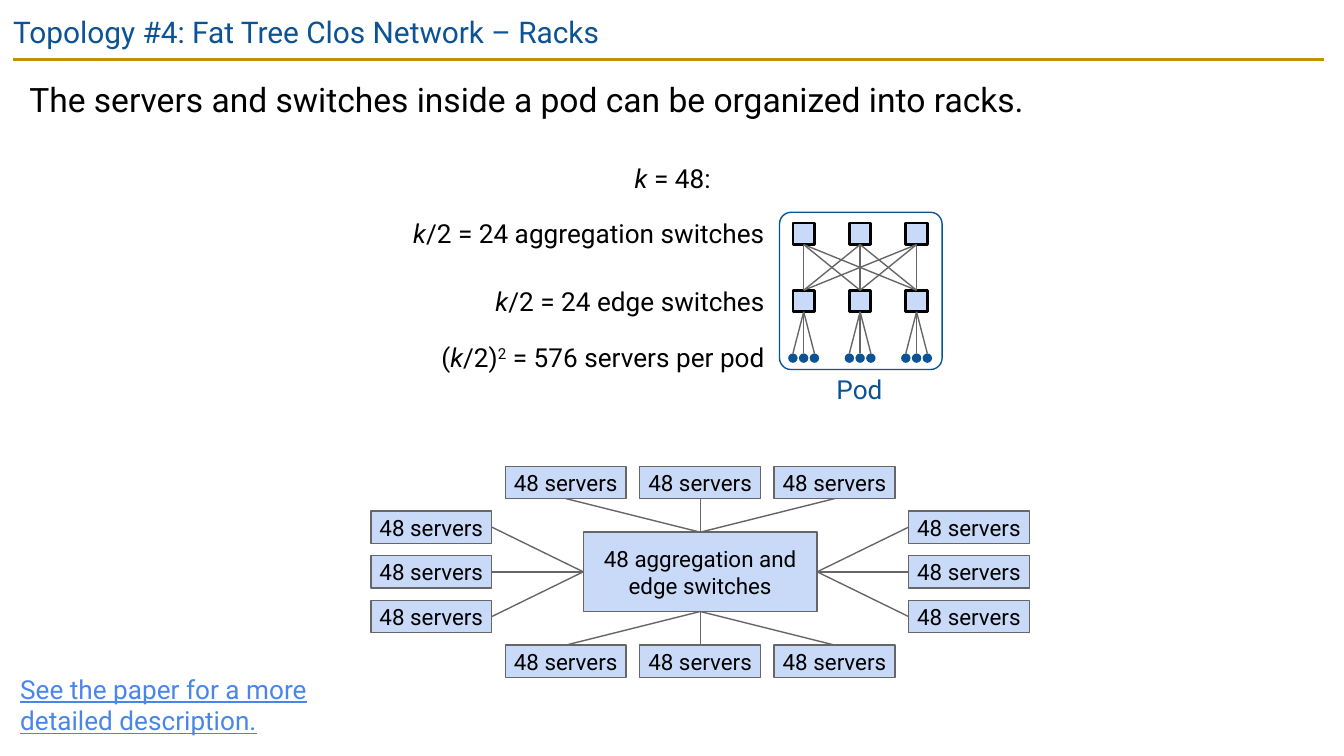
import pptx
import pptx.dml.color
import pptx.enum.shapes
import pptx.enum.text
import pptx.oxml
import pptx.util

Inches = pptx.util.Inches
Pt = pptx.util.Pt
RGBColor = pptx.dml.color.RGBColor
MSO_SHAPE = pptx.enum.shapes.MSO_SHAPE
MSO_ANCHOR = pptx.enum.text.MSO_ANCHOR
PP_ALIGN = pptx.enum.text.PP_ALIGN

BLACK = RGBColor(0x00, 0x00, 0x00)
NAVY = RGBColor(0x0B, 0x53, 0x94)
GOLD = RGBColor(0xBF, 0x90, 0x00)
GRAY = RGBColor(0x66, 0x66, 0x66)
PALE_BLUE = RGBColor(0xC9, 0xDA, 0xF8)
LINK_BLUE = RGBColor(0x4A, 0x86, 0xE8)

FONT = "Roboto"
SLIDE_WIDTH = 10
SLIDE_HEIGHT = SLIDE_WIDTH * 9 / 16
TOP, LEFT, BOTTOM, RIGHT = range(4)


def write_text(frame, runs, size, color, align, margin):
    """Write one paragraph; each run is a (text, style) pair."""
    frame.word_wrap = True
    frame.margin_left = frame.margin_right = Inches(margin)
    frame.margin_top = frame.margin_bottom = Inches(margin)
    paragraph = frame.paragraphs[0]
    paragraph.alignment = align
    for text, style in runs:
        run = paragraph.add_run()
        run.text = text
        run.font.name = FONT
        run.font.size = Pt(size)
        run.font.color.rgb = color
        if style == "italic":
            run.font.italic = True
        elif style == "underline":
            run.font.underline = True
        elif style == "superscript":
            run.font._element.set("baseline", "30000")
    return paragraph


def add_text(slide, box, runs, size=14, color=BLACK, align=PP_ALIGN.LEFT, margin=0.03):
    text_box = slide.shapes.add_textbox(*map(Inches, box))
    return write_text(text_box.text_frame, runs, size, color, align, margin)


def add_box(slide, kind, box, fill=None, line=None, weight=0.75):
    shape = slide.shapes.add_shape(kind, *map(Inches, box))
    shape.shadow.inherit = False
    if fill is None:
        shape.fill.background()
    else:
        shape.fill.solid()
        shape.fill.fore_color.rgb = fill
    if line is None:
        shape.line.fill.background()
    else:
        shape.line.color.rgb = line
        shape.line.width = Pt(weight)
    return shape


def add_line(slide, start=(0, 0), end=(0, 0), color=GRAY, weight=0.75):
    connector = slide.shapes.add_connector(
        pptx.enum.shapes.MSO_CONNECTOR.STRAIGHT, *map(Inches, (*start, *end)))
    connector.line.color.rgb = color
    connector.line.width = Pt(weight)
    properties = connector._element.spPr
    properties.append(pptx.oxml.parse_xml(
        '<a:effectLst xmlns:a="http://schemas.openxmlformats.org/drawingml/2006/main"/>'))
    return connector


def join(slide, first, first_side, second, second_side):
    connector = add_line(slide)
    connector.begin_connect(first, first_side)
    connector.end_connect(second, second_side)


def add_header(slide, box):
    left, top, width, height = box
    rule = top + height + 0.01
    add_line(slide, (left + 0.1, rule), (left + width - 0.15, rule), GOLD, 1.5)
    add_text(slide, box, [("Topology #4: Fat Tree Clos Network – Racks", None)],
             16, NAVY, margin=0.1)


def add_statement(slide, box):
    paragraph = add_text(
        slide, box,
        [("The servers and switches inside a pod can be organized into racks.", None)],
        18, margin=0.1)
    paragraph.line_spacing = 1.15


def add_pod(slide, box):
    left, top, width, height = box
    frame = add_box(slide, MSO_SHAPE.ROUNDED_RECTANGLE, box, line=NAVY)
    frame.adjustments[0] = 0.074
    centers = [left + 0.6 + step * 0.42 for step in (-1, 0, 1)]
    switch, server = 0.16, 0.07

    # Two rows of switches
    aggregation, edge = [
        [add_box(slide, MSO_SHAPE.RECTANGLE,
                 (center - switch / 2, top + offset, switch, switch), PALE_BLUE, BLACK, 1.5)
         for center in centers]
        for offset in (0.08, 0.58)]
    for upper in aggregation:
        for lower in edge:
            join(slide, upper, BOTTOM, lower, TOP)

    # Three servers under each edge switch
    for center, switch_shape in zip(centers, edge):
        for step in (-1, 0, 1):
            dot = add_box(
                slide, MSO_SHAPE.OVAL,
                (center + step * 0.08 - server / 2, top + 1.05, server, server), NAVY)
            join(slide, switch_shape, BOTTOM, dot, TOP)

    add_text(slide, (left + 0.31, top + height, 0.57, 0.3), [("Pod", None)],
             color=NAVY, align=PP_ALIGN.CENTER)


def add_pod_labels(slide, box):
    left, top, width, height = box
    right = left + width
    add_text(slide, (left + 0.61, top, 2.85, 0.3),
             [("k", "italic"), (" = 48:", None)], align=PP_ALIGN.CENTER)
    labels = [
        (0.41, 2.74, [("k", "italic"), ("/2 = 24 aggregation switches", None)]),
        (0.91, 2.49, [("k", "italic"), ("/2 = 24 edge switches", None)]),
        (1.33, 2.49, [("(", None), ("k", "italic"), ("/2)", None), ("2", "superscript"),
                      (" = 576 servers per pod", None)]),
    ]
    for offset, label_width, runs in labels:
        add_text(slide, (right - label_width, top + offset, label_width, 0.3), runs,
                 align=PP_ALIGN.RIGHT)


def add_rack(slide, box, text):
    rack = add_box(slide, MSO_SHAPE.RECTANGLE, box, PALE_BLUE, GRAY)
    rack.text_frame.vertical_anchor = MSO_ANCHOR.MIDDLE
    write_text(rack.text_frame, [(text, None)], 12, BLACK, PP_ALIGN.CENTER, 0)
    return rack


def add_racks(slide, box):
    """Server racks on the rim of a 5 by 5 grid, around the switch rack."""
    left, top, width, height = box
    rack_width, rack_height = 0.9, 0.24
    column_step = (width - rack_width) / 4
    row_step = (height - rack_height) / 4
    core_width, core_height = 1.74, 0.59
    core = add_rack(
        slide,
        (left + (width - core_width) / 2, top + (height - core_height) / 2,
         core_width, core_height),
        "48 aggregation and edge switches")

    # Each side of the core: its three grid cells and the facing rack side
    sides = [
        (TOP, BOTTOM, [(column, 0) for column in (1, 2, 3)]),
        (LEFT, RIGHT, [(0, row) for row in (1, 2, 3)]),
        (BOTTOM, TOP, [(column, 4) for column in (1, 2, 3)]),
        (RIGHT, LEFT, [(4, row) for row in (1, 2, 3)]),
    ]
    for core_side, rack_side, cells in sides:
        for column, row in cells:
            rack = add_rack(
                slide,
                (left + column * column_step, top + row * row_step, rack_width, rack_height),
                "48 servers")
            join(slide, core, core_side, rack, rack_side)


def add_paper_note(slide, box):
    add_text(slide, box, [("See the paper for a more detailed description.", "underline")],
             color=LINK_BLUE)


def main():
    presentation = pptx.Presentation()
    presentation.slide_width = Inches(SLIDE_WIDTH)
    presentation.slide_height = Inches(SLIDE_HEIGHT)
    slide = presentation.slides.add_slide(presentation.slide_layouts[6])
    add_header(slide, (0, 0, SLIDE_WIDTH, 0.43))
    add_statement(slide, (0.12, 0.44, 9.74, 0.78))
    add_pod(slide, (5.8, 1.58, 1.21, 1.17))
    add_pod_labels(slide, (2.97, 1.18, 2.75, 1.63))
    add_racks(slide, (2.76, 3.47, 4.9, 1.57))
    add_paper_note(slide, (0.12, 4.98, 2.22, 0.53))
    presentation.save("out.pptx")


if __name__ == "__main__":
    main()
